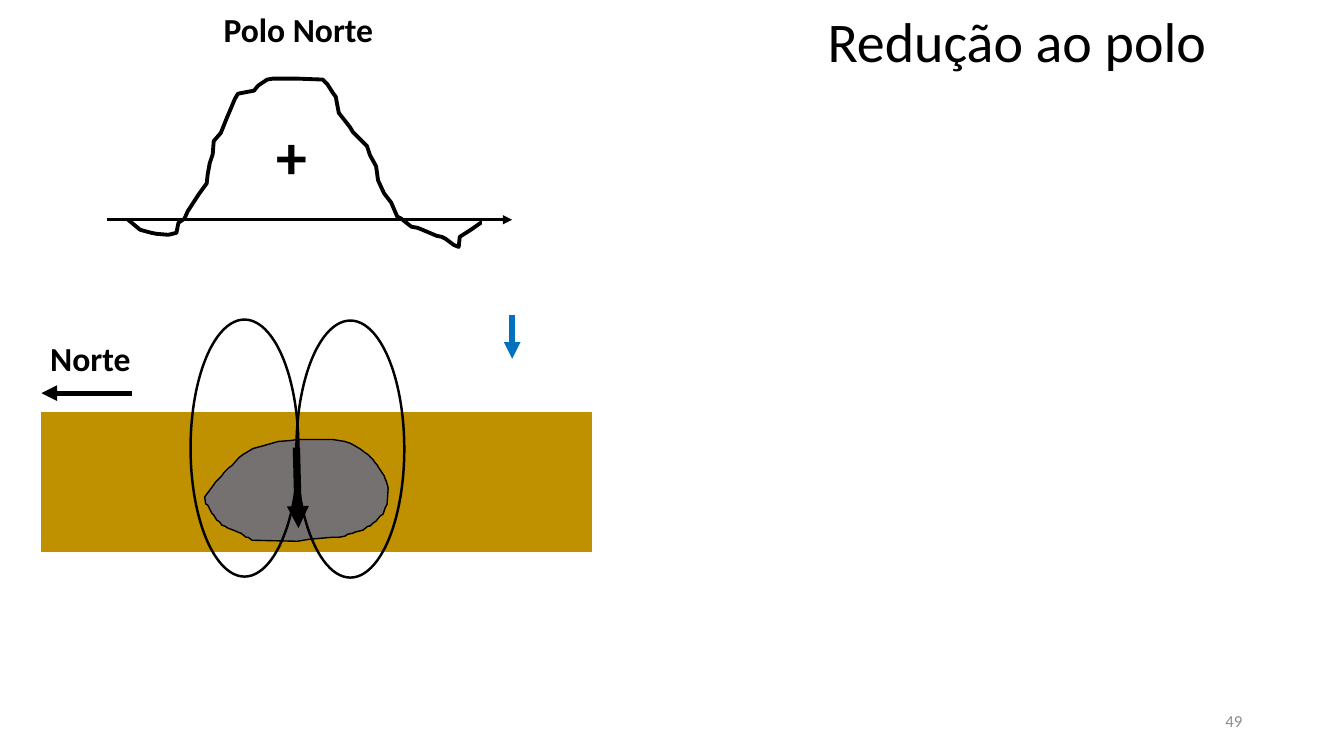
from lxml import etree
from pptx import Presentation
from pptx.dml.color import RGBColor
from pptx.enum.shapes import MSO_CONNECTOR, MSO_SHAPE
from pptx.enum.text import MSO_ANCHOR, MSO_AUTO_SIZE, PP_ALIGN
from pptx.oxml.ns import qn
from pptx.util import Inches, Pt

BLACK = RGBColor(0x00, 0x00, 0x00)
GRAY = RGBColor(0x8C, 0x8C, 0x8C)
SOIL = RGBColor(0xBF, 0x90, 0x00)
ROCK = RGBColor(0x76, 0x71, 0x71)
BLUE = RGBColor(0x00, 0x70, 0xC0)

ANOMALY = [
    (0, 141), (12, 151), (23, 154), (28, 155), (40, 156), (48, 154), (50, 144),
    (56, 140), (59, 133), (70, 116), (78, 105), (79, 96), (81, 85), (84, 76),
    (85, 63), (92, 55), (98, 40), (101, 33), (106, 21), (109, 16), (125, 13),
    (129, 8), (138, 2), (144, 1), (167, 1), (193, 2), (198, 7), (203, 15),
    (206, 19), (209, 35), (220, 49), (223, 54), (232, 63), (237, 68), (240, 77),
    (246, 88), (248, 102), (254, 115), (261, 124), (267, 138), (271, 140),
    (281, 148), (287, 149), (292, 151), (306, 157), (311, 158), (315, 160),
    (323, 166), (328, 168), (329, 158), (340, 151), (350, 144), (351, 144),
]
ORE_BODY = [
    (0, 57), (6, 49), (9, 45), (11, 42), (17, 36), (19, 33), (22, 30), (24, 28),
    (27, 26), (34, 18), (38, 15), (48, 9), (59, 6), (73, 2), (86, 1), (92, 0),
    (127, 0), (139, 2), (145, 4), (152, 8), (155, 10), (159, 13), (162, 15),
    (167, 20), (169, 23), (171, 25), (172, 27), (176, 33), (178, 36), (179, 39),
    (180, 41), (182, 48), (181, 64), (179, 68), (177, 74), (174, 76), (170, 81),
    (167, 83), (164, 86), (162, 86), (157, 90), (149, 92), (147, 93), (142, 94),
    (139, 96), (133, 97), (127, 97), (104, 99), (92, 101), (47, 100), (43, 97),
    (41, 97), (36, 93), (33, 92), (31, 91), (26, 89), (23, 88), (20, 86),
    (17, 85), (15, 82), (12, 80), (9, 75), (7, 73), (3, 65), (1, 64),
]


def write(box, text, size, color=BLACK, bold=False, align=PP_ALIGN.LEFT, anchor=MSO_ANCHOR.TOP):
    """Write one formatted line into a text box or placeholder."""
    frame = box.text_frame
    frame.word_wrap = True
    frame.auto_size = MSO_AUTO_SIZE.NONE
    frame.vertical_anchor = anchor
    line = frame.paragraphs[0]
    line.alignment = align
    run = line.add_run()
    run.text = text
    run.font.name = "Calibri"
    run.font.size = Pt(size)
    run.font.bold = bold
    run.font.color.rgb = color


def add_label(slide, left, top, width, height, text, size, **style):
    """Add a text box with one line."""
    box = slide.shapes.add_textbox(Inches(left), Inches(top), Inches(width), Inches(height))
    write(box, text, size, **style)


def add_arrow(slide, x1, y1, x2, y2, weight, color=BLACK):
    """Add a straight arrow pointing at its second end."""
    arrow = slide.shapes.add_connector(
        MSO_CONNECTOR.STRAIGHT, Inches(x1), Inches(y1), Inches(x2), Inches(y2))
    arrow.line.color.rgb = color
    arrow.line.width = Pt(weight)
    etree.SubElement(arrow.line._get_or_add_ln(), qn("a:tailEnd"), type="triangle")
    etree.SubElement(arrow._element.spPr, qn("a:effectLst"))


def paint(shape, weight, line=BLACK, fill=None):
    """Give a shape its outline and optional fill."""
    shape.shadow.inherit = False
    shape.line.color.rgb = line
    shape.line.width = Pt(weight)
    if fill is None:
        shape.fill.background()
    else:
        shape.fill.solid()
        shape.fill.fore_color.rgb = fill


def add_outline(slide, left, top, points, close):
    """Trace points given in hundredths of an inch from the corner."""
    builder = slide.shapes.build_freeform(*points[0], scale=Inches(0.01))
    builder.add_line_segments(points[1:], close=close)
    return builder.convert_to_shape(Inches(left), Inches(top))


def add_title(slide, left, top, width, height):
    """Place the slide title."""
    title = slide.shapes.title
    title.left, title.top = Inches(left), Inches(top)
    title.width, title.height = Inches(width), Inches(height)
    write(title, "Redução ao polo", 40, align=PP_ALIGN.CENTER)


def add_ground(slide, left, top, width, height):
    """Draw the ground section with the ore body and its dipole field."""
    shapes = slide.shapes
    soil = shapes.add_shape(
        MSO_SHAPE.RECTANGLE, Inches(left), Inches(top), Inches(width), Inches(height))
    paint(soil, 1, SOIL, SOIL)
    add_arrow(slide, left + 0.9, top - 0.19, left, top - 0.19, 3.75)
    add_label(slide, left - 0.01, top - 0.79, 1.16, 0.5, "Norte", 24, bold=True)
    paint(add_outline(slide, left + 1.62, top + 0.27, ORE_BODY, True), 1, fill=ROCK)
    for dx, dy in ((1.48, -0.92), (2.53, -0.91)):
        field_loop = shapes.add_shape(
            MSO_SHAPE.OVAL, Inches(left + dx), Inches(top + dy), Inches(1.07), Inches(2.55))
        paint(field_loop, 1.75)
    add_arrow(slide, left + 2.53, top + 0.35, left + 2.55, top + 1.15, 5.25)
    add_arrow(slide, left + 4.67, top - 0.96, left + 4.67, top - 0.53, 4, BLUE)


def add_profile(slide, left, top, width):
    """Draw the magnetic anomaly profile above its axis."""
    axis = top + 2.14
    add_arrow(slide, left, axis, left + width, axis, 2.25)
    add_label(slide, left + 0.52, top, 2.76, 0.5, "Polo Norte", 24,
              bold=True, align=PP_ALIGN.CENTER)
    paint(add_outline(slide, left + 0.21, top + 0.73, ANOMALY, False), 2.75)
    add_label(slide, left + 1.58, top + 1.08, 0.42, 0.84, "+", 44, bold=True)


def main():
    """Build and save the slide."""
    deck = Presentation()
    deck.slide_width, deck.slide_height = Inches(13.33), Inches(7.5)
    slide = deck.slides.add_slide(deck.slide_layouts[5])
    add_label(slide, 9.42, 6.95, 3, 0.4, "49", 12, color=GRAY,
              align=PP_ALIGN.RIGHT, anchor=MSO_ANCHOR.MIDDLE)
    add_ground(slide, 0.41, 4.09, 5.46, 1.38)
    add_profile(slide, 1.06, 0.04, 4.02)
    add_title(slide, 7.26, 0.01, 5.65, 0.77)
    deck.save("out.pptx")


if __name__ == "__main__":
    main()
